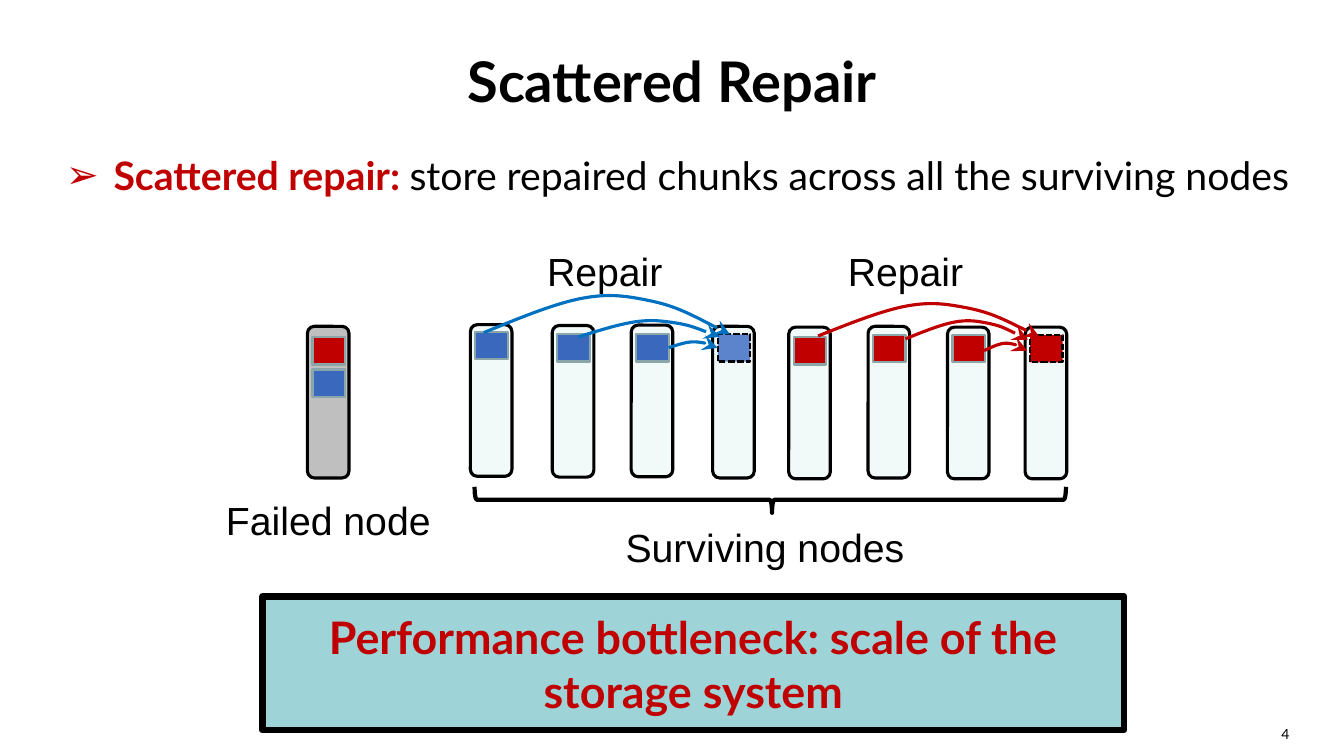
from typing import NamedTuple

from lxml import etree
from pptx import Presentation
from pptx.dml.color import RGBColor
from pptx.enum.dml import MSO_LINE
from pptx.enum.shapes import MSO_SHAPE
from pptx.enum.text import MSO_ANCHOR, PP_ALIGN
from pptx.oxml.ns import qn
from pptx.util import Inches, Pt

RECT, ROUNDED, BRACE = MSO_SHAPE.RECTANGLE, MSO_SHAPE.ROUNDED_RECTANGLE, MSO_SHAPE.LEFT_BRACE
LEFT, CENTER, RIGHT = PP_ALIGN.LEFT, PP_ALIGN.CENTER, PP_ALIGN.RIGHT
TOP, MIDDLE = MSO_ANCHOR.TOP, MSO_ANCHOR.MIDDLE
DASH = MSO_LINE.SQUARE_DOT

COLORS = {
    "black": "000000", "red": "C00000", "blue": "3A68BC", "light_blue": "5B84CD",
    "arrow_blue": "0070C0", "node": "F1F9F9", "failed": "BFBFBF",
    "chunk_edge": "8AA6A8", "banner": "9ED3D7",
}
COLS, ROWS = 160, 90
NODE_W, NODE_H = 4.95, 18.05
CHUNK_W, CHUNK_H, CHUNK_INSET = 3.85, 3.25, 0.6
CURVE_X = (0, 0.14, 0.29, 0.4, 0.51, 0.58, 0.69, 0.79, 0.89, 1)
CURVE_RISE = (0, 0.36, 0.74, 0.87, 1, 0.94, 0.8, 0.67, 0.33, 0)


class Box(NamedTuple):
    col: float
    row: float
    cols: float
    rows: float


class Label(NamedTuple):
    text: str
    box: Box
    size: int
    font: str = "Arial"
    align: PP_ALIGN = CENTER
    anchor: MSO_ANCHOR = MIDDLE
    bold: bool = False


class Chunk(NamedTuple):
    color: str
    drop: float
    rebuilt: bool = False


class Node(NamedTuple):
    col: float
    row: float
    chunks: tuple[Chunk, ...]
    fill: str = "node"


class Arrow(NamedTuple):
    start: tuple[float, float]
    end: tuple[float, float]
    rise: float
    color: str


NODES = [
    Node(36.6, 38.85, (Chunk("red", 1.3), Chunk("blue", 5.15)), "failed"),
    Node(56, 38.65, (Chunk("blue", 0.85),)),
    Node(65.75, 38.75, (Chunk("blue", 1.05),)),
    Node(75.15, 38.7, (Chunk("blue", 1.1),)),
    Node(84.85, 38.85, (Chunk("light_blue", 0.95, True),)),
    Node(93.9, 38.95, (Chunk("red", 1.2),)),
    Node(103.35, 38.85, (Chunk("red", 1.05),)),
    Node(112.8, 38.95, (Chunk("red", 0.95),)),
    Node(122.05, 38.95, (Chunk("red", 0.95, True),)),
]
ARROWS = [
    Arrow((57.6, 39.6), (86.9, 39.8), 4.8, "arrow_blue"),
    Arrow((68.9, 40.1), (85.7, 40.1), 2.05, "arrow_blue"),
    Arrow((79.6, 41.4), (85.45, 41.4), 0.75, "arrow_blue"),
    Arrow((97.4, 40), (123.75, 40.1), 4.15, "red"),
    Arrow((107.8, 40.35), (122.4, 40.45), 2.35, "red"),
    Arrow((117.15, 41.75), (122.3, 41.75), 0.95, "red"),
]
LABELS = [
    Label("Scattered Repair", Box(8, 2, 144, 15), 40, "Lato", bold=True),
    Label("4", Box(117.4, 85.8, 37.3, 4.2), 10, "Lato", RIGHT, TOP),
    Label("Failed node", Box(24.25, 58.6, 29.65, 6.5), 28),
    Label("Repair", Box(58.3, 30, 27.4, 4.55), 28),
    Label("Repair", Box(94.1, 30, 27.4, 4.55), 28),
    Label("Surviving nodes", Box(70, 62.8, 42.1, 4.55), 28),
]
DEFINITION = Label(" Scattered repair: ", Box(6.65, 17.4, 150.4, 11.5), 28, "Lato", LEFT, TOP, True)
BANNER = Label("Performance bottleneck: scale of the storage system",
               Box(31.25, 71, 102.6, 15.95), 32, "Lato", bold=True)

prs = Presentation()
prs.slide_width, prs.slide_height = Inches(13.333), Inches(7.5)
slide = prs.slides.add_slide(prs.slide_layouts[6])


def x(col: float) -> int:
    return round(prs.slide_width * col / COLS)


def y(row: float) -> int:
    return round(prs.slide_height * row / ROWS)


def place(box: Box) -> tuple[int, int, int, int]:
    return x(box.col), y(box.row), x(box.cols), y(box.rows)


def rgb(name: str) -> RGBColor:
    return RGBColor.from_string(COLORS[name])


def style_run(r, label: Label, color: str, bold: bool) -> None:
    r.font.name, r.font.size, r.font.bold = label.font, Pt(label.size), bold
    r.font.color.rgb = rgb(color)


def write(s, label: Label, color: str = "black"):
    tf = s.text_frame
    tf.word_wrap, tf.vertical_anchor = True, label.anchor
    p = tf.paragraphs[0]
    p.text, p.alignment = label.text, label.align
    style_run(p.runs[0], label, color, label.bold)
    return p


def add_text(label: Label, color: str = "black"):
    return write(slide.shapes.add_textbox(*place(label.box)), label, color)


def paint(s, fill: str | None, line: str, width: float) -> None:
    s.shadow.inherit = False
    if fill:
        s.fill.solid()
        s.fill.fore_color.rgb = rgb(fill)
    else:
        s.fill.background()
    s.line.color.rgb, s.line.width = rgb(line), Pt(width)


def add_box(kind: MSO_SHAPE, box: Box, fill: str | None, line: str, width: float):
    s = slide.shapes.add_shape(kind, *place(box))
    paint(s, fill, line, width)
    return s


def add_node(node: Node) -> None:
    add_box(ROUNDED, Box(node.col, node.row, NODE_W, NODE_H), node.fill, "black", 2.25)
    for chunk in node.chunks:
        box = Box(node.col + CHUNK_INSET, node.row + chunk.drop, CHUNK_W, CHUNK_H)
        s = add_box(RECT, box, chunk.color, "black" if chunk.rebuilt else "chunk_edge", 1.5)
        if chunk.rebuilt:
            s.line.dash_style = DASH


def bend(s) -> None:
    segments = list(s._element.iter(qn("a:lnTo")))
    for i in range(0, len(segments), 3):
        curve = etree.Element(qn("a:cubicBezTo"))
        segments[i].addprevious(curve)
        for segment in segments[i:i + 3]:
            curve.append(segment[0])
            segment.getparent().remove(segment)


def add_arrow(arrow: Arrow) -> None:
    (x0, y0), (x1, y1) = arrow.start, arrow.end
    points = [(x(x0 + (x1 - x0) * along), y(y0 + (y1 - y0) * along - arrow.rise * rise))
              for along, rise in zip(CURVE_X, CURVE_RISE)]
    builder = slide.shapes.build_freeform(*points[0])
    builder.add_line_segments(points[1:], close=False)
    s = builder.convert_to_shape()
    bend(s)
    paint(s, None, arrow.color, 2.25)
    etree.SubElement(s.line._get_or_add_ln(), qn("a:tailEnd"), type="stealth", w="lg", len="lg")


def add_definition() -> None:
    p = add_text(DEFINITION, "red")
    r = p.add_run()
    r.text = "store repaired chunks across all the surviving nodes"
    style_run(r, DEFINITION, "black", False)
    pPr = p._p.get_or_add_pPr()
    pPr.set("marL", str(Inches(0.38)))
    pPr.set("indent", str(-Inches(0.38)))
    etree.SubElement(pPr, qn("a:buFont"), typeface="Arial")
    etree.SubElement(pPr, qn("a:buChar"), char="➢")


for label in LABELS:
    add_text(label)
add_definition()
for node in NODES:
    add_node(node)
for arrow in ARROWS:
    add_arrow(arrow)

brace = add_box(BRACE, Box(90.15, 24.3, 3.1, 70.4), None, "black", 3)
brace.rotation = 90
brace._element.spPr.xfrm.set("flipH", "1")
brace.adjustments[1] = 0.497

write(add_box(RECT, BANNER.box, "banner", "black", 4.5), BANNER, "red")

prs.save("out.pptx")
